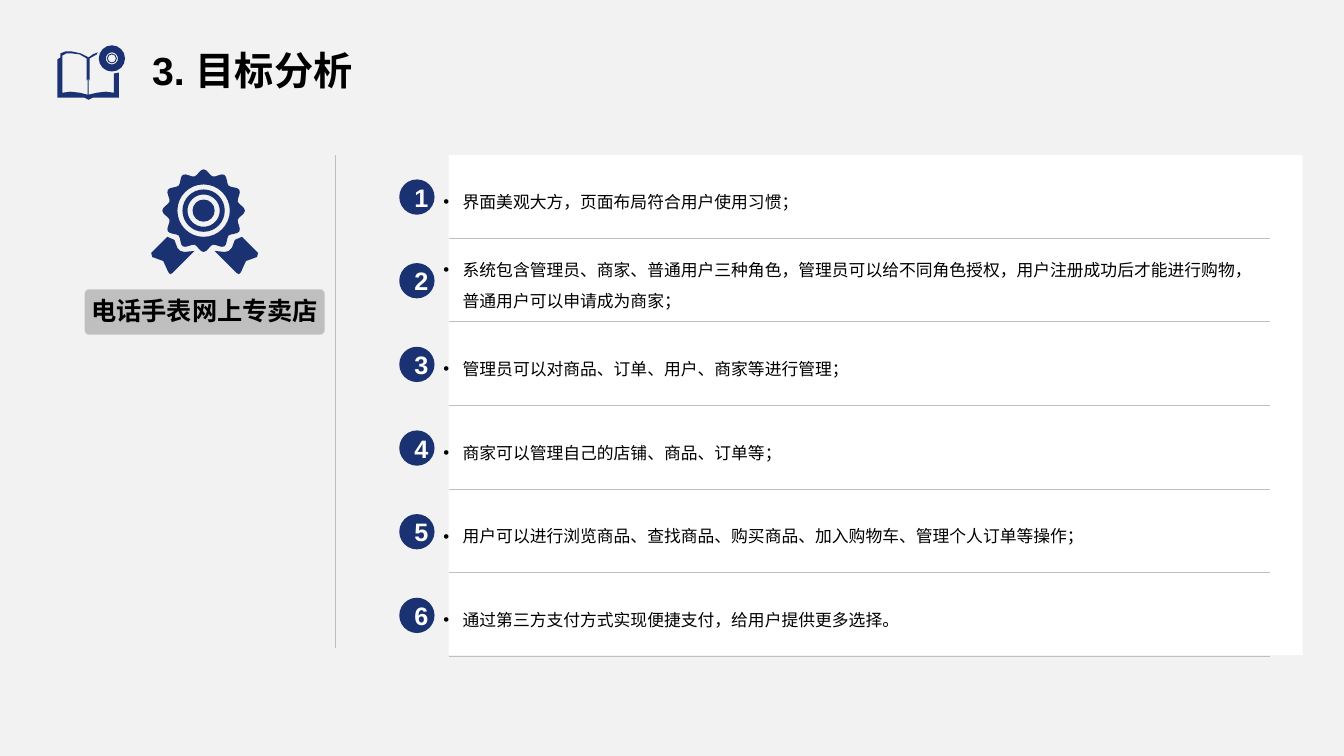
"""Build the goal analysis slide: a badge label and six numbered goals."""
from dataclasses import dataclass
from math import cos, pi, sin, tan

from lxml import etree
from pptx import Presentation
from pptx.dml.color import RGBColor
from pptx.enum import shapes, text
from pptx.oxml import ns
from pptx.util import Inches, Pt


@dataclass(frozen=True)
class Theme:
    font: str = "Arial"
    navy: str = "1A3172"
    gray: str = "BFBFBF"
    background: str = "F2F2F2"
    white: str = "FFFFFF"
    black: str = "000000"
    title_size: int = 28
    label_size: int = 18
    body_size: int = 12
    line_width: float = 0.25


THEME = Theme()
TITLE = "3. 目标分析"
LABEL = "电话手表网上专卖店"
GOALS = [
    "界面美观大方，页面布局符合用户使用习惯；",
    "系统包含管理员、商家、普通用户三种角色，管理员可以给不同角色授权，"
    "用户注册成功后才能进行购物，普通用户可以申请成为商家；",
    "管理员可以对商品、订单、用户、商家等进行管理；",
    "商家可以管理自己的店铺、商品、订单等；",
    "用户可以进行浏览商品、查找商品、购买商品、加入购物车、管理个人订单等操作；",
    "通过第三方支付方式实现便捷支付，给用户提供更多选择。",
]
TOP = 1.54
ROW_PITCH = 0.83

BOOK_COVER = [
    (0.71, 0.51), (0.8, 0.53), (0.88, 0.57), (0.92, 0.54), (0.97, 0.52),
    (0.96, 0.54), (0.89, 0.58), (0.89, 0.8), (0.88, 0.78), (0.88, 0.94),
    (0.96, 0.92), (1.05, 0.91), (1.13, 0.92), (1.13, 0.73), (1.18, 0.72),
    (1.18, 0.97), (0.92, 0.97), (0.88, 0.99), (0.84, 0.97), (0.57, 0.97),
    (0.57, 0.59), (0.6, 0.57), (0.6, 0.53), (0.65, 0.51),
]
BOOK_PAGE = [
    (0.71, 0.53), (0.66, 0.53), (0.62, 0.55), (0.62, 0.92), (0.7, 0.91),
    (0.79, 0.92), (0.87, 0.94), (0.87, 0.78), (0.86, 0.8), (0.86, 0.58),
    (0.79, 0.54),
]
RIBBON = [
    (1.66, 2.35), (1.73, 2.38), (1.76, 2.46), (1.79, 2.49), (1.83, 2.5),
    (1.93, 2.49), (1.71, 2.71), (1.69, 2.72), (1.67, 2.7), (1.62, 2.59),
    (1.51, 2.55), (1.5, 2.51),
]
MEDAL_CENTER = (2.02, 2.09)
MEDAL_RINGS = (0.26, 0.21, 0.16, 0.11)
DISC_CENTER = (1.11, 0.58)
DISC_RINGS = (0.13, 0.06, 0.05, 0.04)


def ring(center, radii, count):
    """Return Bezier points of a closed curve whose radii alternate."""
    def place(reach, angle, offset):
        return (center[0] + reach * sin(angle) + offset * cos(angle),
                center[1] - reach * cos(angle) + offset * sin(angle))

    step = 2 * pi / count
    handle = 4 / 3 * tan(step / 4)
    points = [place(radii[0], 0, 0)]
    for index in range(count):
        start, end = radii[index % len(radii)], radii[(index + 1) % len(radii)]
        angle = index * step
        points += [place(start, angle, handle * start),
                   place(end, angle + step, -handle * end),
                   place(end, angle + step, 0)]
    return points


def paint(shape, fill):
    shape.shadow.inherit = False
    shape.fill.solid()
    shape.fill.fore_color.rgb = RGBColor.from_string(fill)
    shape.line.fill.background()
    return shape


def curve(segments):
    """Join each three straight segments into one Bezier curve."""
    for first, second, third in zip(*[iter(segments)] * 3):
        bezier = etree.Element(ns.qn("a:cubicBezTo"))
        first.addprevious(bezier)
        for segment in (first, second, third):
            bezier.append(segment[0])
            segment.getparent().remove(segment)


def add_icon(slide, outlines, rings):
    contours = [[(Inches(x), Inches(y)) for x, y in points]
                for points in outlines + rings]
    builder = slide.shapes.build_freeform(*contours[0][0])
    for index, points in enumerate(contours):
        if index:
            builder.move_to(*points[0])
        builder.add_line_segments(points[1:], close=True)
    shape = paint(builder.convert_to_shape(), THEME.navy)
    segments = list(shape._element.iter(ns.qn("a:lnTo")))
    curve(segments[sum(len(points) - 1 for points in outlines):])


def add_block(slide, kind, box, fill):
    return paint(slide.shapes.add_shape(kind, *map(Inches, box)), fill)


def add_rule(slide, start, end):
    line = slide.shapes.add_connector(
        shapes.MSO_CONNECTOR.STRAIGHT, *map(Inches, start + end))
    line.line.color.rgb = RGBColor.from_string(THEME.gray)
    line.line.width = Pt(THEME.line_width)
    etree.SubElement(line._element.spPr, ns.qn("a:effectLst"))


def write(shape, words, size, ink, bold=True,
          align=text.PP_ALIGN.CENTER, anchor=text.MSO_ANCHOR.MIDDLE):
    frame = shape.text_frame
    frame.word_wrap = True
    frame.auto_size = text.MSO_AUTO_SIZE.NONE
    frame.vertical_anchor = anchor
    paragraph = frame.paragraphs[0]
    paragraph.alignment = align
    run = paragraph.add_run()
    run.text = words
    run.font.name = THEME.font
    run.font.size = Pt(size)
    run.font.bold = bold
    run.font.color.rgb = RGBColor.from_string(ink)
    return paragraph


def add_bullet(paragraph):
    properties = paragraph._p.get_or_add_pPr()
    properties.set("marL", str(Inches(0.19)))
    properties.set("indent", str(-Inches(0.19)))
    etree.SubElement(properties, ns.qn("a:buFont")).set("typeface", THEME.font)
    etree.SubElement(properties, ns.qn("a:buChar")).set("char", "•")


def add_goal(slide, index, goal):
    top = TOP + index * ROW_PITCH
    badge = add_block(slide, shapes.MSO_SHAPE.OVAL,
                      (3.96, top + 0.24, 0.35, 0.35), THEME.navy)
    write(badge, str(index + 1), THEME.label_size, THEME.white)
    box = slide.shapes.add_textbox(*map(Inches, (4.3, top, 8.29, 0.82)))
    paragraph = write(box, goal, THEME.body_size, THEME.black, bold=False,
                      align=text.PP_ALIGN.LEFT)
    paragraph.line_spacing = 1.5
    add_bullet(paragraph)
    add_rule(slide, (4.45, top + 0.82), (12.6, top + 0.82))


def add_title(slide):
    title = slide.shapes.title
    title.left, title.top, title.width, title.height = map(
        Inches, (1.41, 0.25, 11.87, 0.73))
    paragraph = write(title, TITLE, THEME.title_size, THEME.black,
                      align=text.PP_ALIGN.LEFT, anchor=text.MSO_ANCHOR.BOTTOM)
    paragraph.line_spacing = 0.9


def main():
    presentation = Presentation()
    presentation.slide_width = Inches(13.33)
    presentation.slide_height = Inches(7.5)
    slide = presentation.slides.add_slide(presentation.slide_layouts[5])
    slide.background.fill.solid()
    slide.background.fill.fore_color.rgb = RGBColor.from_string(THEME.background)

    add_title(slide)
    add_icon(slide, [BOOK_COVER, BOOK_PAGE],
             [ring(DISC_CENTER, [radius], 4) for radius in DISC_RINGS])
    add_block(slide, shapes.MSO_SHAPE.RECTANGLE, (4.45, TOP, 8.47, 4.96), THEME.white)
    mirrored = [(4.06 - x, y) for x, y in RIBBON]
    add_icon(slide, [RIBBON, mirrored],
             [ring(MEDAL_CENTER, [0.41, 0.35], 24)]
             + [ring(MEDAL_CENTER, [radius], 4) for radius in MEDAL_RINGS])

    label = add_block(slide, shapes.MSO_SHAPE.ROUNDED_RECTANGLE,
                      (0.84, 2.87, 2.38, 0.45), THEME.gray)
    label.adjustments[0] = 0.1
    write(label, LABEL, THEME.label_size, THEME.black, anchor=text.MSO_ANCHOR.TOP)
    label.text_frame.word_wrap = False
    add_rule(slide, (3.32, TOP), (3.32, 6.43))
    for index, goal in enumerate(GOALS):
        add_goal(slide, index, goal)
    presentation.save("out.pptx")


if __name__ == "__main__":
    main()
